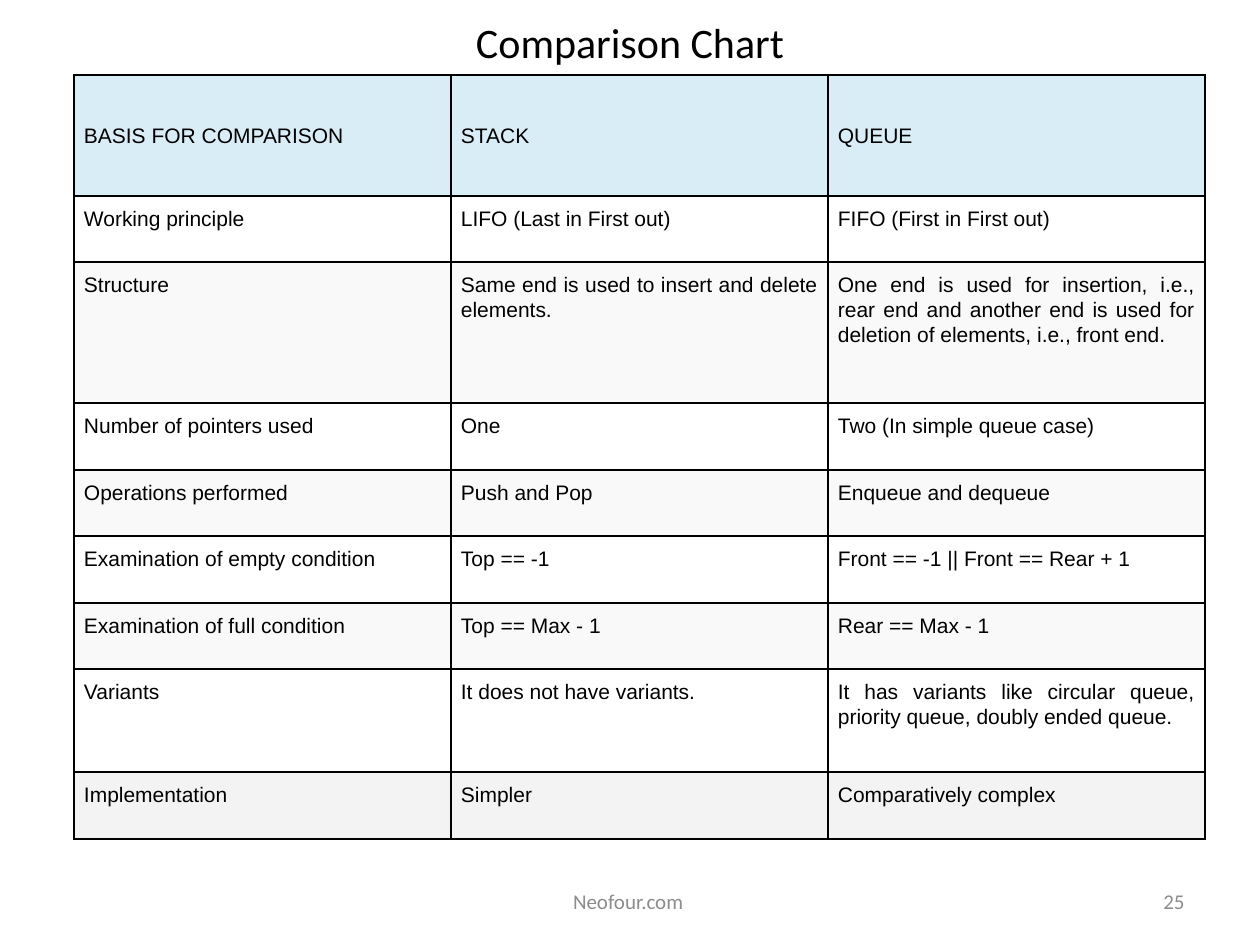
from dataclasses import dataclass
from itertools import pairwise

from lxml import etree
from pptx import Presentation
from pptx.dml.color import RGBColor
from pptx.enum.text import MSO_ANCHOR, PP_ALIGN
from pptx.oxml.ns import qn
from pptx.util import Emu, Pt

CENTER, RIGHT, JUSTIFY = PP_ALIGN.CENTER, PP_ALIGN.RIGHT, PP_ALIGN.JUSTIFY
TOP, MIDDLE = MSO_ANCHOR.TOP, MSO_ANCHOR.MIDDLE

PIXELS_PER_INCH = 126
TABLE_LEFT = 74
COLUMN_WIDTH = 377
CELL_INSET = 10
ROW_EDGES = [75, 196, 262, 403, 470, 536, 603, 669, 772, 839]
COMPARISON = [
    ("BASIS FOR COMPARISON", "STACK", "QUEUE"),
    ("Working principle", "LIFO (Last in First out)", "FIFO (First in First out)"),
    (
        "Structure",
        "Same end is used to insert and delete elements.",
        "One end is used for insertion, i.e., rear end and another end is used "
        "for deletion of elements, i.e., front end.",
    ),
    ("Number of pointers used", "One", "Two (In simple queue case)"),
    ("Operations performed", "Push and Pop", "Enqueue and dequeue"),
    ("Examination of empty condition", "Top == -1", "Front == -1 || Front == Rear + 1"),
    ("Examination of full condition", "Top == Max - 1", "Rear == Max - 1"),
    (
        "Variants",
        "It does not have variants.",
        "It has variants like circular queue, priority queue, doubly ended queue.",
    ),
    ("Implementation", "Simpler", "Comparatively complex"),
]


@dataclass(frozen=True)
class Theme:
    heading_font: str = "Calibri"
    table_font: str = "Arial"
    title_size: int = 24
    body_size: int = 12
    ink: str = "000000"
    muted: str = "8C8C8C"
    header_fill: str = "D9EDF7"
    odd_fill: str = "FFFFFF"
    even_fill: str = "F9F9F9"
    last_fill: str = "F3F3F3"
    border_width: int = 1


def px(length):
    return Emu(round(length * 914400 / PIXELS_PER_INCH))


class SlideBuilder:
    def __init__(self, slide, theme):
        self.slide = slide
        self.theme = theme

    def add_run(self, paragraph, text, font, size, color):
        run = paragraph.add_run()
        run.text = text
        run.font.name = font
        run.font.size = Pt(size)
        run.font.color.rgb = RGBColor.from_string(color)

    def add_text(self, text, left, top, width, height, alignment, size, color):
        shape = self.slide.shapes.add_textbox(px(left), px(top), px(width), px(height))
        frame = shape.text_frame
        frame.word_wrap = True
        frame.vertical_anchor = MIDDLE
        paragraph = frame.paragraphs[0]
        paragraph.alignment = alignment
        self.add_run(paragraph, text, self.theme.heading_font, size, color)

    def add_borders(self, cell):
        properties = cell._tc.get_or_add_tcPr()
        for index, side in enumerate(("a:lnL", "a:lnR", "a:lnT", "a:lnB")):
            line = etree.Element(qn(side), w=str(Pt(self.theme.border_width)))
            fill = etree.SubElement(line, qn("a:solidFill"))
            etree.SubElement(fill, qn("a:srgbClr"), val=self.theme.ink)
            properties.insert(index, line)

    def fill_cell(self, cell, text, color, anchor):
        theme = self.theme
        cell.fill.solid()
        cell.fill.fore_color.rgb = RGBColor.from_string(color)
        cell.vertical_anchor = anchor
        cell.margin_left = cell.margin_right = px(CELL_INSET)
        cell.margin_top = cell.margin_bottom = px(CELL_INSET)
        self.add_borders(cell)
        paragraph = cell.text_frame.paragraphs[0]
        paragraph.alignment = JUSTIFY
        paragraph.line_spacing = 1.07
        paragraph.space_after = Pt(6)
        self.add_run(paragraph, text, theme.table_font, theme.body_size, theme.ink)

    def row_fill(self, index, count):
        if index == 0:
            return self.theme.header_fill
        if index == count - 1:
            return self.theme.last_fill
        return self.theme.odd_fill if index % 2 else self.theme.even_fill

    def add_table(self, rows, left, column_width, edges):
        columns = len(rows[0])
        table = self.slide.shapes.add_table(
            len(rows), columns, px(left), px(edges[0]),
            px(column_width * columns), px(edges[-1] - edges[0]),
        ).table
        for column in table.columns:
            column.width = px(column_width)
        for row, (upper, lower) in zip(table.rows, pairwise(edges)):
            row.height = px(lower - upper)
        for row_index, texts in enumerate(rows):
            color = self.row_fill(row_index, len(rows))
            anchor = TOP if row_index else MIDDLE
            for column_index, text in enumerate(texts):
                self.fill_cell(table.cell(row_index, column_index), text, color, anchor)


def main():
    presentation = Presentation()
    presentation.slide_width = px(1260)
    presentation.slide_height = px(945)
    theme = Theme()
    slide = presentation.slides.add_slide(presentation.slide_layouts[6])
    builder = SlideBuilder(slide, theme)
    builder.add_text("Comparison Chart", 63, 17, 1134, 49, CENTER, theme.title_size, theme.ink)
    builder.add_table(COMPARISON, TABLE_LEFT, COLUMN_WIDTH, ROW_EDGES)
    builder.add_text("25", 903, 876, 294, 50, RIGHT, theme.body_size, theme.muted)
    builder.add_text("Neofour.com ", 431, 876, 399, 50, CENTER, theme.body_size, theme.muted)
    presentation.save("out.pptx")


if __name__ == "__main__":
    main()
